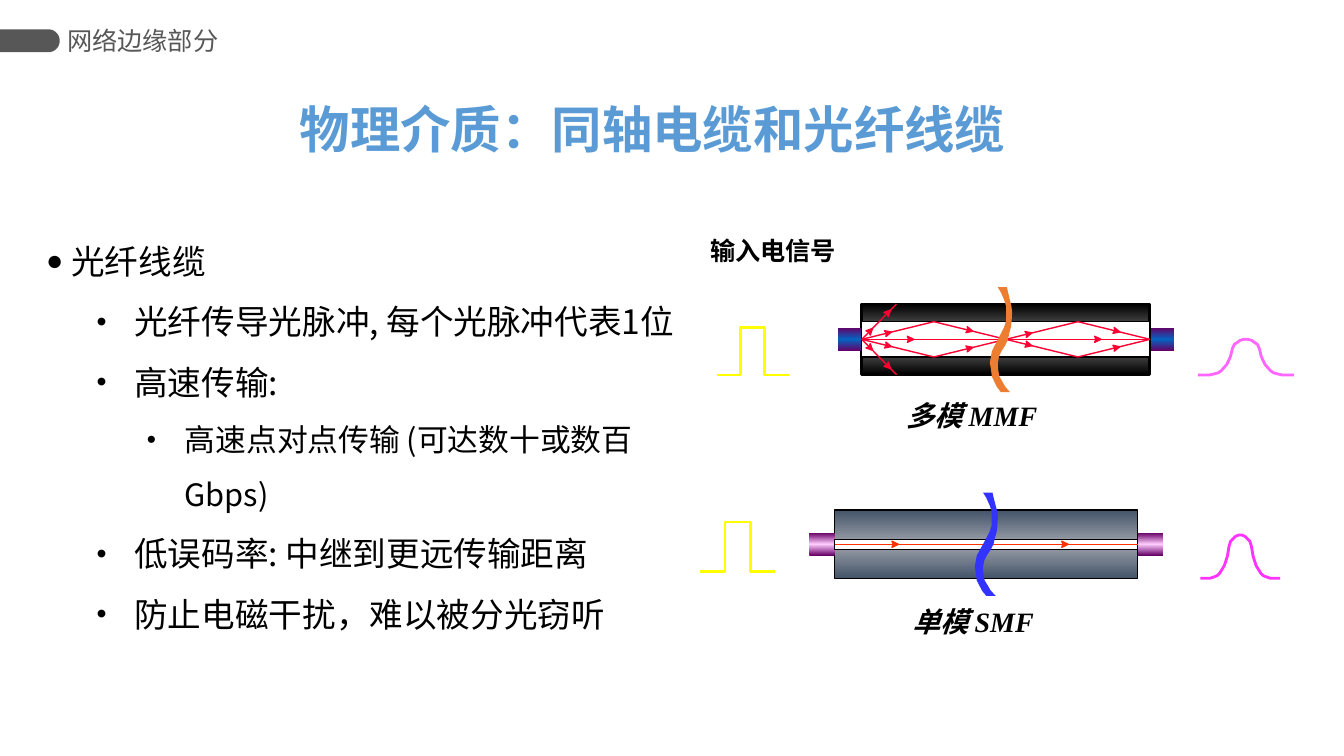
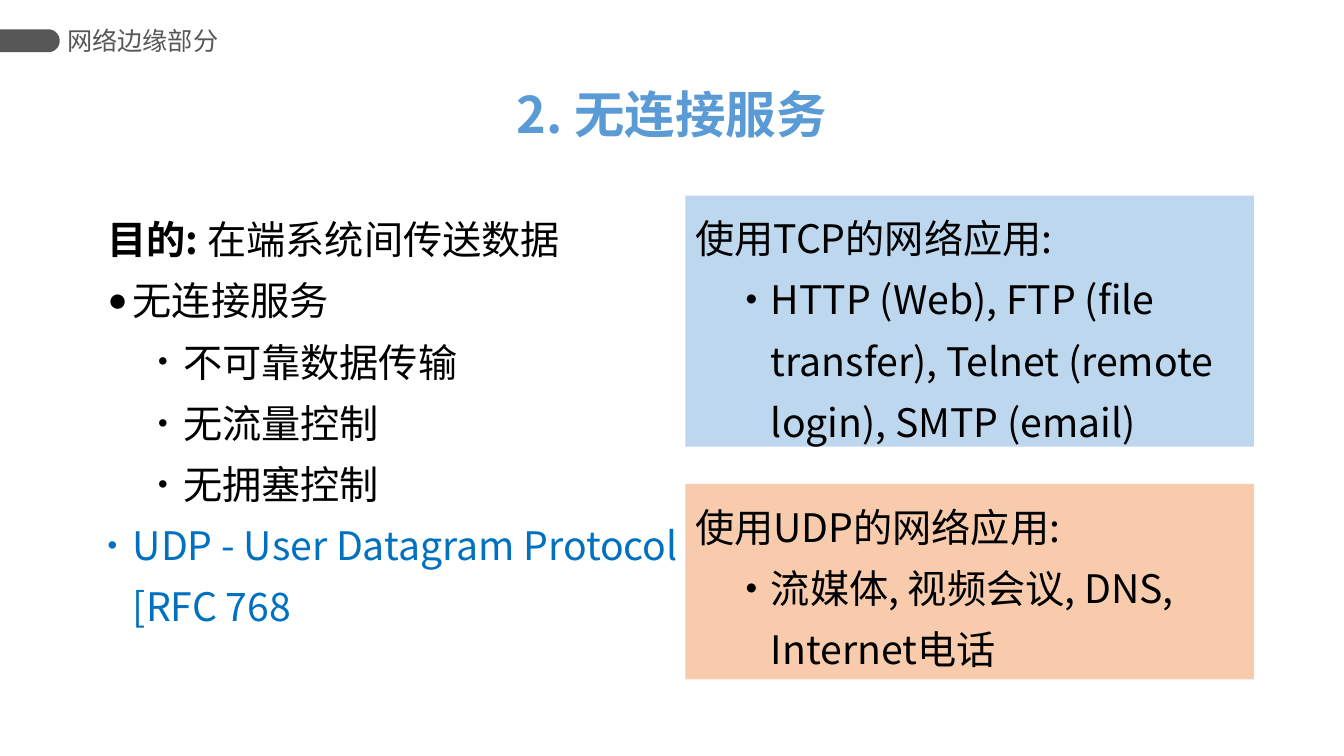
from copy import deepcopy
from dataclasses import dataclass
from math import atan2, cos, pi, sin

from lxml.etree import SubElement
from pptx import Presentation
from pptx.dml.color import RGBColor
from pptx.enum.shapes import MSO_CONNECTOR, MSO_SHAPE
from pptx.enum.text import MSO_ANCHOR, PP_ALIGN
from pptx.oxml.ns import qn
from pptx.util import Emu, Inches, Pt

# The slide is a grid of 160 columns by 90 rows with square cells
COLUMNS, ROWS = 160, 90
CELL = Inches(1) // 12

SANS = "Noto Sans CJK SC"
COLORS = {
    "black": "000000", "white": "FFFFFF", "gray": "7F7F7F", "header": "575757",
    "title": "5B9BD5", "link": "0070C0", "tcp": "BDD7EE", "udp": "F8CBAD",
    "purple": "660066", "blue": "0563C1", "pink": "FFCCFF",
    "slate": "44546A", "silver": "9EA2AA", "yellow": "FFFF00",
    "red": "FF0033", "vermilion": "FF3300", "orange": "ED7D31",
    "indigo": "3333FF", "rose": "FF66FF", "magenta": "FF33FF",
}

# Outgoing pulse: left half, as shares of its width and height
PULSE_HALF = [(0, 0), (.12, 0), (.17, .03), (.21, .06), (.24, .11), (.27, .2),
              (.3, .29), (.32, .4), (.34, .52), (.35, .63), (.36, .74),
              (.38, .86), (.41, .91), (.44, .97), (.48, 1)]
# Break mark: height, left edge and right edge, as shares of its box
BREAK_EDGES = [(0, .36, .77), (.05, .5, .82), (.12, .64, .9), (.18, .73, .97),
               (.24, .73, 1), (.32, .73, .98), (.38, .64, .95), (.44, .5, .87),
               (.5, .36, .81), (.55, .23, .7), (.61, .09, .52), (.66, .05, .41),
               (.72, 0, .36), (.78, .05, .37), (.85, .09, .43), (.89, .18, .54),
               (.95, .32, .7), (1, .5, .91)]


@dataclass
class Box:
    left: float
    top: float
    width: float
    height: float

    def lengths(self) -> list:
        return [cells(v) for v in (self.left, self.top, self.width, self.height)]

    def point(self, across: float, down: float) -> tuple:
        return self.left + across * self.width, self.top + down * self.height


@dataclass
class Span:
    text: str
    size: float = 0
    bold: bool | None = None
    color: str = ""
    font: str = ""


@dataclass
class Para:
    spans: list
    level: int = 0
    indent: float = 0
    hang: float = 0
    bullet: str = ""
    bullet_size: int = 85


@dataclass
class Ray:
    """Ends as shares of the fibre's width and core height, from its left middle."""
    start: tuple
    end: tuple
    arrows: tuple


@dataclass
class Fibre:
    left: float
    middle: float
    width: float
    cladding: float
    core: float
    plug: tuple
    cladding_colors: tuple
    cladding_line: float
    plug_colors: tuple
    rays: list
    ray_color: str
    break_box: Box
    break_color: str
    pulse_in: Box
    pulse_out: Box
    pulse_color: str
    caption: tuple
    caption_box: Box


MULTI_RAYS = [Ray((0, 0), (1, 0), (.18, .83))]
for side in (-1, 1):
    MULTI_RAYS += [
        Ray((0, 0), (.25, side / 2), (.41,)),
        Ray((.25, side / 2), (.5, 0), (.54,)),
        Ray((.5, 0), (.75, side / 2), (.36,)),
        Ray((.75, side / 2), (1, 0), (.58,)),
        Ray((0, 0), (.12, side), (.31, .83)),
    ]

FIBRES = [
    Fibre(102.6, 40.4, 34.3, 8.4, 4.2, (2.85, 2.8), ("black", "gray"), 2,
          ("purple", "blue"), MULTI_RAYS, "red",
          Box(117.84, 34.2, 2.65, 12.5), "orange",
          Box(85.3, 39, 8.64, 5.64), Box(142.6, 40.4, 11.45, 4.25), "rose",
          ("多模 ", "MMF"), Box(106.7, 46.8, 20, 5.3)),
    Fibre(99.36, 64.8, 36.1, 8.15, 1.2, (3, 2.7), ("slate", "silver"), 1,
          ("purple", "pink"), [Ray((0, 0), (1, 0), (.21, .77))], "vermilion",
          Box(116.04, 58.65, 2.76, 12.3), "indigo",
          Box(83.3, 62.15, 9, 5.9), Box(142.9, 63.7, 9.5, 5.15), "magenta",
          ("单模 ", "SMF"), Box(107.4, 71.4, 20, 5.3)),
]


def cells(count: float) -> Emu:
    return Emu(round(count * CELL))


def rgb(name: str) -> RGBColor:
    return RGBColor.from_string(COLORS[name])


def paint(shape, fill: str = "", line: str = "", weight: float = 1) -> None:
    shape.shadow.inherit = False
    if fill:
        shape.fill.solid()
        shape.fill.fore_color.rgb = rgb(fill)
    else:
        shape.fill.background()
    if line:
        shape.line.color.rgb = rgb(line)
        shape.line.width = Pt(weight)
    else:
        shape.line.fill.background()


def add_rect(page, box: Box, fill: str = "", line: str = "", weight: float = 1):
    shape = page.shapes.add_shape(MSO_SHAPE.RECTANGLE, *box.lengths())
    paint(shape, fill, line, weight)
    return shape


def shade(shape, edge: str, center: str) -> None:
    """Fill from edge colour to centre colour and back, top to bottom."""
    shape.fill.gradient()
    shape.fill.gradient_angle = 90
    stop_list = shape._element.spPr.find(qn("a:gradFill")).find(qn("a:gsLst"))
    stop_list.insert(1, deepcopy(stop_list[0]))
    for stop, place, name in zip(shape.fill.gradient_stops, (0, .5, 1), (edge, center, edge)):
        stop.position = place
        stop.color.rgb = rgb(name)


def add_outline(page, points: list, close: bool = True, **style) -> None:
    start, *others = [(cells(x), cells(y)) for x, y in points]
    builder = page.shapes.build_freeform(*start)
    builder.add_line_segments(others, close=close)
    paint(builder.convert_to_shape(), **style)


def set_paragraph(paragraph, para: Para, spacing: float, align) -> None:
    paragraph.level = para.level
    properties = paragraph._p.get_or_add_pPr()
    properties.set("marL", str(cells(para.indent)))
    properties.set("indent", str(cells(-para.hang)))
    if para.bullet:
        SubElement(properties, qn("a:buSzPct"), val=str(para.bullet_size * 1000))
        SubElement(properties, qn("a:buFont"), typeface="Arial")
        SubElement(properties, qn("a:buChar"), char=para.bullet)
    else:
        SubElement(properties, qn("a:buNone"))
    paragraph.line_spacing = spacing
    paragraph.alignment = align


def write(frame, paras: list, *, size: float, color: str = "black", font: str = SANS,
          bold: bool = False, italic: bool = False, spacing: float = 1.0,
          align=PP_ALIGN.LEFT, anchor=MSO_ANCHOR.TOP, wrap: bool = True,
          side_inset: float = 1.2) -> None:
    frame.word_wrap = wrap
    frame.vertical_anchor = anchor
    frame.margin_left = frame.margin_right = cells(side_inset)
    frame.margin_top = frame.margin_bottom = cells(.6)
    for index, para in enumerate(paras):
        paragraph = frame.add_paragraph() if index else frame.paragraphs[0]
        set_paragraph(paragraph, para, spacing, align)
        for span in para.spans:
            run = paragraph.add_run()
            run.text = span.text
            run.font.size = Pt(span.size or size)
            run.font.bold = bold if span.bold is None else span.bold
            run.font.italic = italic
            run.font.color.rgb = rgb(span.color or color)
            run.font.name = span.font or font
            SubElement(run._r.get_or_add_rPr(), qn("a:ea"), typeface=SANS)


def add_text(page, box: Box, paras: list, **style) -> None:
    write(page.shapes.add_textbox(*box.lengths()).text_frame, paras, **style)


def item(text: str, level: int, indent: float, hang: float, bullet: str = "•",
         bullet_size: int = 85, **span) -> Para:
    return Para([Span(text, **span)], level, indent, hang, bullet, bullet_size)


def add_page(deck, title: str, title_box: Box, align):
    """Blank page with the header tab, section name and title."""
    page = deck.slides.add_slide(deck.slide_layouts[6])
    radius, center_x, center_y = 1.36, 5.75, 4.86
    arc = [(center_x + radius * cos(turn), center_y + radius * sin(turn))
           for turn in (pi * step / 24 - pi / 2 for step in range(25))]
    add_outline(page, [(0, center_y - radius), *arc, (0, center_y + radius)], fill="header")
    add_text(page, Box(8, 2.28, 28, 5), [Para([Span("网络边缘部分")])], size=18,
             color="header", anchor=MSO_ANCHOR.MIDDLE, side_inset=0)
    add_text(page, title_box, [Para([Span(title)])], size=36, color="title", bold=True,
             spacing=.9, align=align, anchor=MSO_ANCHOR.MIDDLE)
    return page


def add_ray(page, fibre: Fibre, ray: Ray) -> None:
    (x1, y1), (x2, y2) = [(fibre.left + x * fibre.width, fibre.middle + y * fibre.core)
                          for x, y in (ray.start, ray.end)]
    line = page.shapes.add_connector(MSO_CONNECTOR.STRAIGHT, *map(cells, (x1, y1, x2, y2)))
    line.line.color.rgb = rgb(fibre.ray_color)
    line.line.width = Pt(1)
    SubElement(line._element.spPr, qn("a:effectLst"))
    turn = atan2(y2 - y1, x2 - x1)
    for share in ray.arrows:
        tip_x, tip_y = x1 + share * (x2 - x1), y1 + share * (y2 - y1)
        head = [(0, 0), (-.75, -.36), (-.6, 0), (-.75, .36)]
        add_outline(page, [(tip_x + x * cos(turn) - y * sin(turn),
                            tip_y + x * sin(turn) + y * cos(turn)) for x, y in head],
                    fill=fibre.ray_color, line=fibre.ray_color)


def add_fibre(page, fibre: Fibre) -> None:
    def layer(height: float) -> Box:
        return Box(fibre.left, fibre.middle - height / 2, fibre.width, height)

    # Cladding, end plugs and core
    shade(add_rect(page, layer(fibre.cladding), line="black", weight=fibre.cladding_line),
          *fibre.cladding_colors)
    plug_width, plug_height = fibre.plug
    for left in (fibre.left - plug_width, fibre.left + fibre.width):
        plug = Box(left, fibre.middle - plug_height / 2, plug_width, plug_height)
        shade(add_rect(page, plug), *fibre.plug_colors)
    add_rect(page, layer(fibre.core), "white", "black")
    # Light rays and break mark
    for ray in fibre.rays:
        add_ray(page, fibre, ray)
    left_edge = [(left, y) for y, left, _ in BREAK_EDGES]
    right_edge = [(right, y) for y, _, right in reversed(BREAK_EDGES)]
    add_outline(page, [fibre.break_box.point(*spot) for spot in left_edge + right_edge],
                fill=fibre.break_color)
    # Square pulse in, rounded pulse out
    square = [(0, 1), (1 / 3, 1), (1 / 3, 0), (2 / 3, 0), (2 / 3, 1), (1, 1)]
    bell = [(x, 1 - y) for x, y in PULSE_HALF]
    bell += [(1 - x, y) for x, y in reversed(bell)]
    for box, shares, color in ((fibre.pulse_in, square, "yellow"),
                               (fibre.pulse_out, bell, fibre.pulse_color)):
        add_outline(page, [box.point(*spot) for spot in shares], False, line=color, weight=2)
    # Caption
    name, short = fibre.caption
    add_text(page, fibre.caption_box, [Para([Span(name), Span(short, font="Times New Roman")])],
             size=20, font="Arial", bold=True, italic=True)


def build_media_page(deck) -> None:
    page = add_page(deck, "物理介质：同轴电缆和光纤线缆", Box(25, 11.88, 105.36, 7.8),
                    PP_ALIGN.CENTER)
    add_text(page, Box(4.32, 25.68, 79.08, 61), [
        item("光纤线缆", 0, 3, 3, "●"),
        item("光纤传导光脉冲, 每个光脉冲代表1位", 1, 10.5, 4.5),
        item("高速传输:", 1, 10.5, 4.5),
        item("高速点对点传输 (可达数十或数百 Gbps)", 2, 16.5, 4.5, size=22),
        item("低误码率: 中继到更远传输距离", 1, 10.5, 4.5),
        item("防止电磁干扰，难以被分光窃听", 1, 10.5, 4.5),
    ], size=24, spacing=1.5)
    add_text(page, Box(83.28, 27.48, 17.52, 4.8), [Para([Span("输入电信号")])], size=18,
             font="Arial", bold=True, align=PP_ALIGN.CENTER, wrap=False)
    for fibre in FIBRES:
        add_fibre(page, fibre)


def build_service_page(deck) -> None:
    page = add_page(deck, "2. 无连接服务", Box(60.36, 10.08, 42.24, 7.8), PP_ALIGN.LEFT)
    style = {"size": 28, "spacing": 1.3}
    lacks = ("不可靠数据传输", "无流量控制", "无拥塞控制")
    add_text(page, Box(11.64, 23.4, 71.64, 57.36), [
        Para([Span("目的: ", bold=True), Span("在端系统间传送数据")], 0, 3, 3),
        item("无连接服务", 0, 3, 3, "●"),
        *[item(lack, 1, 9, 3, bullet_size=70) for lack in lacks],
        item("UDP - User Datagram Protocol [RFC 768", 0, 3, 3, bullet_size=70, color="link"),
    ], **style)
    # Applications of each transport protocol
    for top, height, fill, heading, uses in (
            (23.28, 29.88, "tcp", "使用TCP的网络应用:",
             "HTTP (Web), FTP (file transfer), Telnet (remote login), SMTP (email)"),
            (57.6, 23.28, "udp", "使用UDP的网络应用:",
             "流媒体, 视频会议, DNS, Internet电话")):
        panel = add_rect(page, Box(81.6, top, 67.68, height), fill)
        write(panel.text_frame, [Para([Span(heading)], 0, 3, 3), item(uses, 1, 9, 3)], **style)


def main() -> None:
    deck = Presentation()
    deck.slide_width, deck.slide_height = cells(COLUMNS), cells(ROWS)
    build_media_page(deck)
    build_service_page(deck)
    deck.save("out.pptx")


if __name__ == "__main__":
    main()
